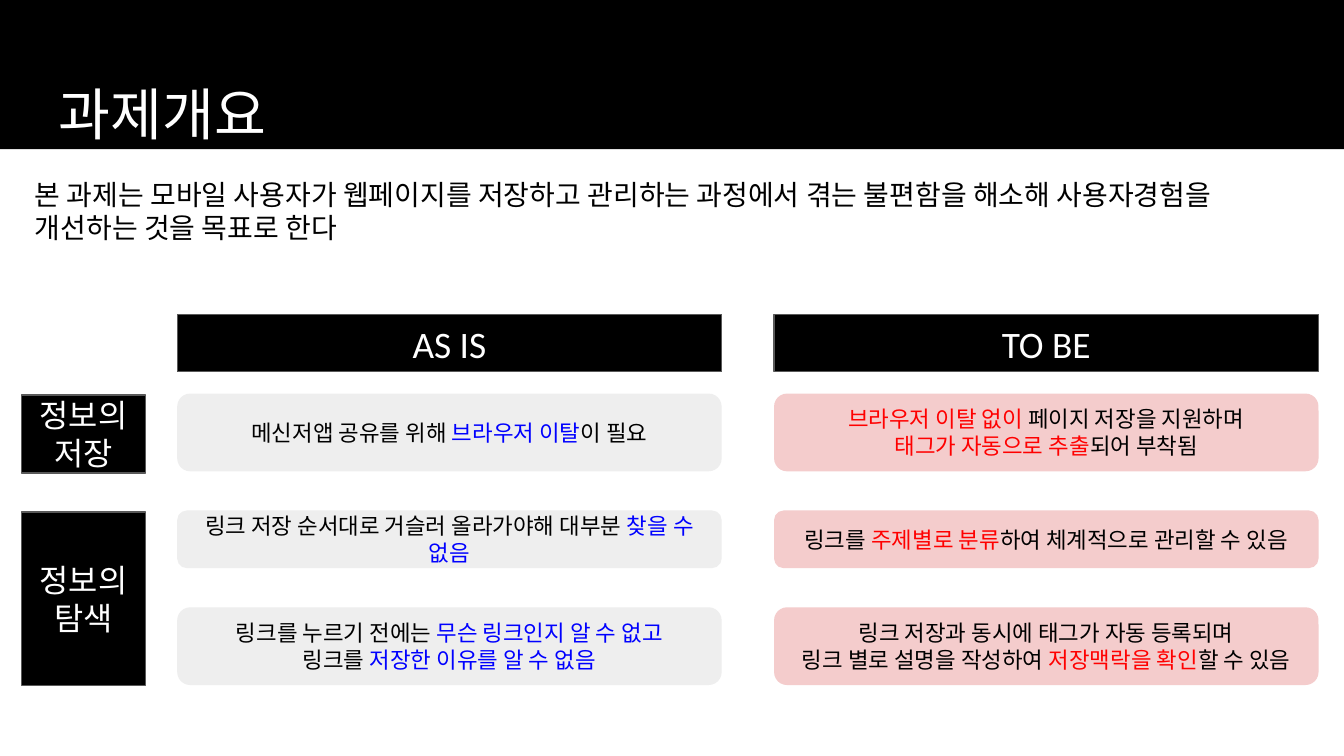
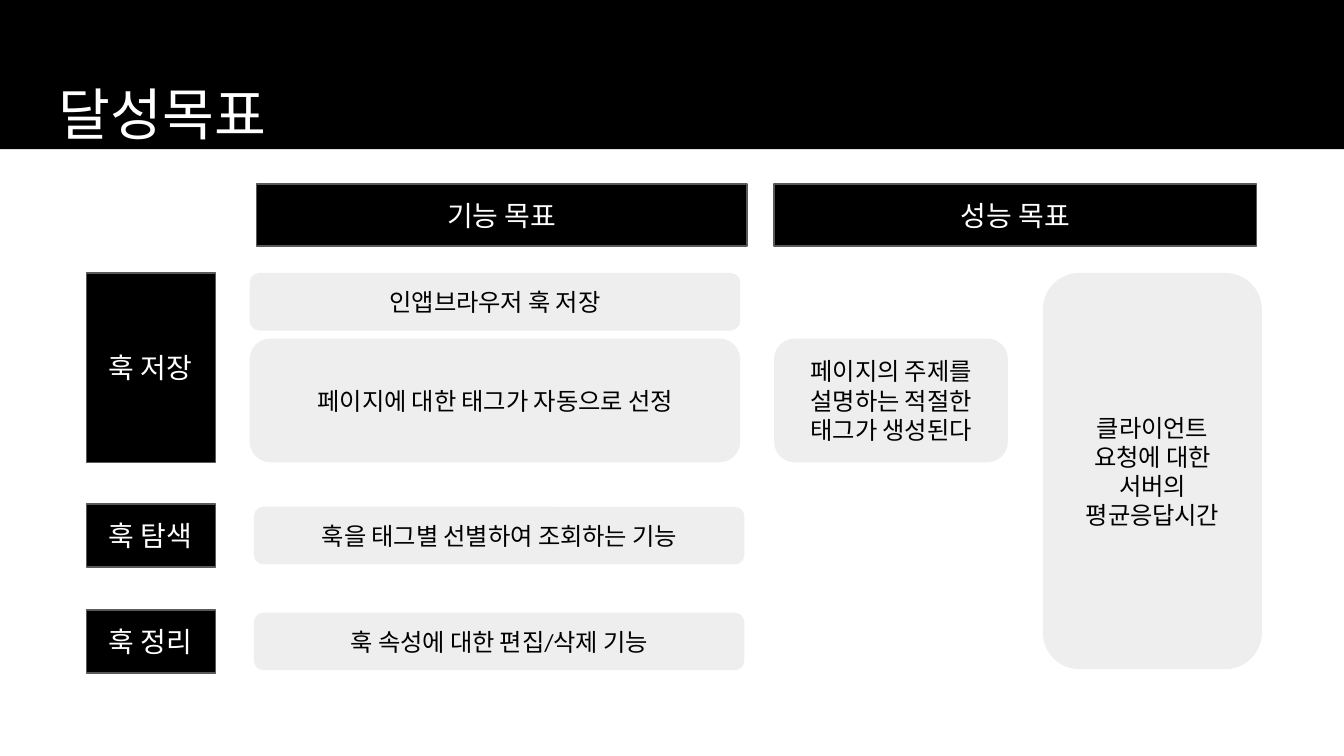
from lxml.etree import SubElement
from pptx import Presentation
from pptx.dml.color import RGBColor
from pptx.enum.shapes import MSO_SHAPE
from pptx.enum.text import MSO_ANCHOR, MSO_AUTO_SIZE, PP_ALIGN
from pptx.oxml.ns import qn
from pptx.util import Cm, Pt

BLACK = RGBColor(0x00, 0x00, 0x00)
WHITE = RGBColor(0xFF, 0xFF, 0xFF)
BORDER = RGBColor(0x59, 0x59, 0x59)
GRAY = RGBColor(0xEE, 0xEE, 0xEE)
PINK = RGBColor(0xF4, 0xCC, 0xCC)
BLUE = RGBColor(0x00, 0x00, 0xFF)
RED = RGBColor(0xFF, 0x00, 0x00)
FONT = "Calibri"


def put_text(sp, text, size=12, color=BLACK, accent=BLACK,
             align=PP_ALIGN.CENTER, anchor=MSO_ANCHOR.MIDDLE):
    """Fill a shape with lines of text; parts between asterisks take the accent."""
    tf = sp.text_frame
    tf.word_wrap = True
    tf.auto_size = MSO_AUTO_SIZE.NONE
    tf.vertical_anchor = anchor
    tf.margin_left = tf.margin_right = tf.margin_top = tf.margin_bottom = Cm(0.25)
    for i, line in enumerate(text.split("\n")):
        p = tf.add_paragraph() if i else tf.paragraphs[0]
        p.alignment = align
        for j, part in enumerate(line.split("*")):
            if not part:
                continue
            r = p.add_run()
            r.text = part
            r.font.name = FONT
            r.font.size = Pt(size)
            r.font.color.rgb = accent if j % 2 else color
            SubElement(r.font._element, qn("a:ea"), typeface=FONT)


def add_box(s, kind, x, y, w, h, fill, line=None):
    """Add a flat filled shape, with a thin border if a line colour is given."""
    sp = s.shapes.add_shape(kind, Cm(x), Cm(y), Cm(w), Cm(h))
    sp.shadow.inherit = False
    sp.fill.solid()
    sp.fill.fore_color.rgb = fill
    if line is None:
        sp.line.fill.background()
    else:
        sp.line.color.rgb = line
        sp.line.width = Pt(0.75)
    return sp


def add_label(s, text, x, y, w, h, size):
    """Add a black heading block with white text."""
    sp = add_box(s, MSO_SHAPE.RECTANGLE, x, y, w, h, BLACK, BORDER)
    put_text(sp, text, size=size, color=WHITE)


def add_card(s, text, x, y, w, h, fill=GRAY, **fmt):
    """Add a rounded card with centred text."""
    put_text(add_box(s, MSO_SHAPE.ROUNDED_RECTANGLE, x, y, w, h, fill), text, **fmt)


def add_titled_slide(prs, title):
    """Add a slide with the black band and its title."""
    s = prs.slides.add_slide(prs.slide_layouts[5])
    sp = s.shapes.title
    band = add_box(s, MSO_SHAPE.RECTANGLE, 0, 0, 25.4, 2.82, BLACK)
    sp.element.addprevious(band.element)
    sp.left, sp.top, sp.width, sp.height = Cm(0.86), Cm(1.24), Cm(23.67), Cm(1.6)
    put_text(sp, title, size=30.2, color=WHITE, align=PP_ALIGN.LEFT, anchor=MSO_ANCHOR.TOP)
    return s


def build_overview(prs):
    """Build the comparison of the present and the intended state."""
    s = add_titled_slide(prs, "과제개요")
    intro = s.shapes.add_textbox(Cm(0.41), Cm(3.1), Cm(24.13), Cm(1.8))
    put_text(intro, "본 과제는 모바일 사용자가 웹페이지를 저장하고 관리하는 과정에서 겪는 "
             "불편함을 해소해 사용자경험을 개선하는 것을 목표로 한다",
             size=15, align=PP_ALIGN.LEFT, anchor=MSO_ANCHOR.TOP)
    for text, y, h in (("정보의 저장", 7.47, 1.47), ("정보의 탐색", 9.68, 3.28)):
        add_label(s, text, 0.41, y, 2.34, h, 17)

    heights, gap, width = (1.47, 1.09, 1.47), 0.74, 10.29
    columns = (
        ("AS IS", 3.35, GRAY, BLUE, (
            "메신저앱 공유를 위해 *브라우저 이탈*이 필요",
            "링크 저장 순서대로 거슬러 올라가야해 대부분* 찾을 수 없음*",
            "링크를 누르기 전에는 *무슨 링크인지 알 수 없고*\n링크를 *저장한 이유를 알 수 없음*")),
        ("TO BE", 14.63, PINK, RED, (
            "*브라우저 이탈 없이* 페이지 저장을 지원하며\n*태그가 자동으로 추출*되어 부착됨",
            "링크를 *주제별로 분류*하여 체계적으로 관리할 수 있음",
            "링크 저장과 동시에 태그가 자동 등록되며\n"
            "링크 별로 설명을 작성하여 *저장맥락을 확인*할 수 있음")),
    )
    for heading, x, fill, accent, cards in columns:
        add_label(s, heading, x, 5.94, width, 1.09, 20)
        y = 7.44
        for text, h in zip(cards, heights):
            add_card(s, text, x, y, width, h, fill, accent=accent)
            y += h + gap


def build_goals(prs):
    """Build the chart of functional and performance goals."""
    s = add_titled_slide(prs, "달성목표")
    for text, x, w in (("기능 목표", 4.85, 9.27), ("성능 목표", 14.63, 9.12)):
        add_label(s, text, x, 3.48, w, 1.17, 15)
    for text, y, h in (("훅 저장", 5.16, 3.58), ("훅 탐색", 9.53, 1.19), ("훅 정리", 11.53, 1.19)):
        add_label(s, text, 1.63, y, 2.44, h, 15)
    cards = (
        ("인앱브라우저 훅 저장", 4.72, 5.16, 9.27, 1.09),
        ("페이지에 대한 태그가 자동으로 선정", 4.72, 6.4, 9.27, 2.34),
        ("훅을 태그별 선별하여 조회하는 기능", 4.8, 9.58, 9.27, 1.09),
        ("훅 속성에 대한 편집/삭제 기능", 4.8, 11.58, 9.27, 1.09),
        ("페이지의 주제를 설명하는 적절한 태그가 생성된다", 14.63, 6.4, 4.42, 2.34),
        ("클라이언트 요청에 대한 서버의 평균응답시간", 19.71, 5.16, 4.14, 7.49),
    )
    for card in cards:
        add_card(s, *card, size=13)


def main():
    """Build both slides and save them."""
    prs = Presentation()
    prs.slide_width, prs.slide_height = Cm(25.4), Cm(14.29)
    build_overview(prs)
    build_goals(prs)
    prs.save("out.pptx")


if __name__ == "__main__":
    main()
